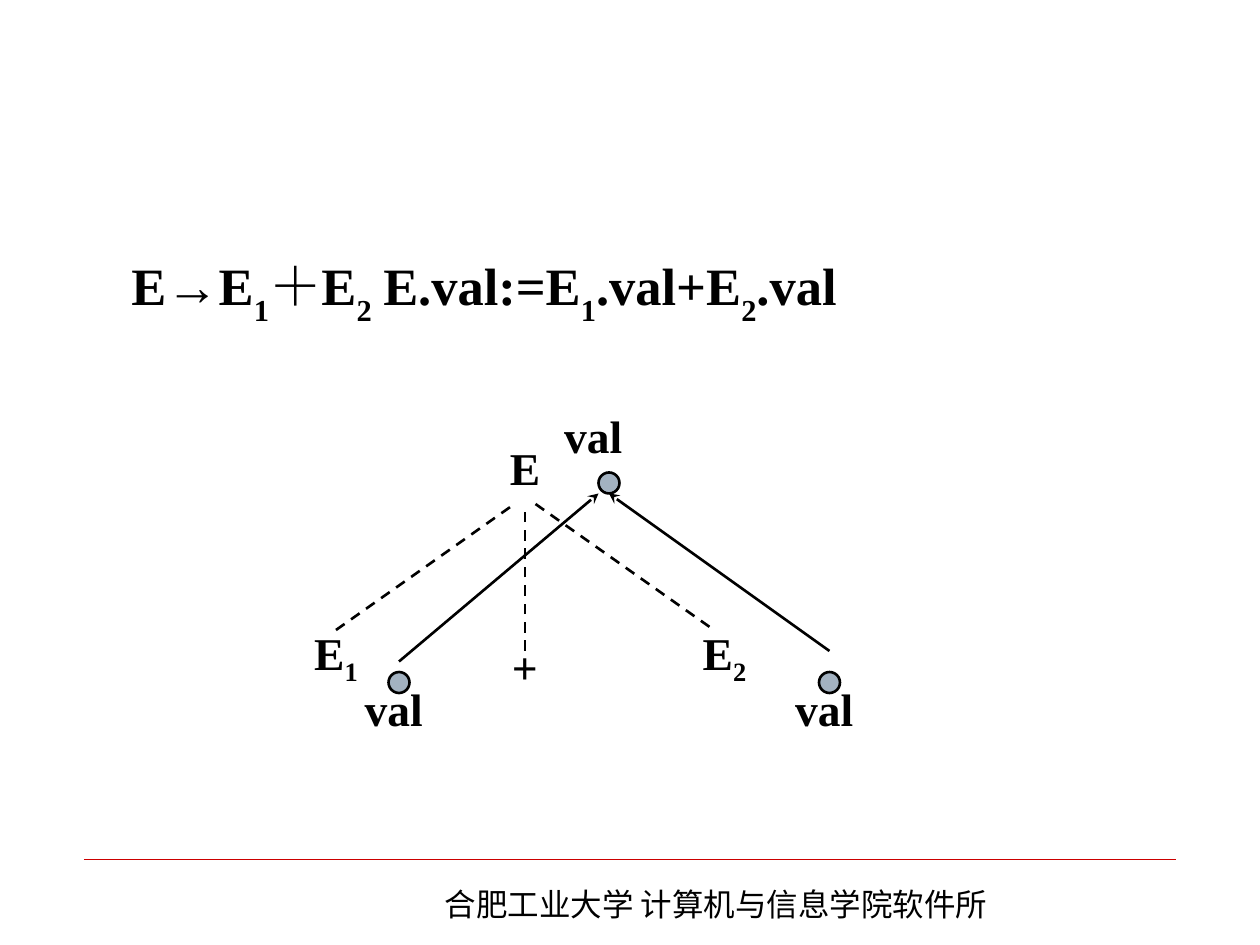
"""Draw the val attribute flow for the rule E→E₁＋E₂."""
from dataclasses import dataclass

from lxml import etree
from pptx import Presentation
from pptx.dml.color import RGBColor
from pptx.enum import dml, shapes, text
from pptx.oxml import ns
from pptx.util import Pt

SERIF, SANS = "Times New Roman", "Noto Sans CJK SC"
BLACK, WHITE, RED, STEEL = "000000", "FFFFFF", "CC0000", "A3B2C1"
Run = tuple[str, int]


@dataclass
class Label:
    left: float
    top: float
    width: float
    runs: list[Run]


@dataclass
class Edge:
    start: tuple[float, float]
    end: tuple[float, float]
    color: str = BLACK
    width: float = 1.5
    dashed: bool = False
    arrow: bool = False


RULE = [("E→E", 0), ("1", -30), ("＋E", 0), ("2", -30), ("\tE.val:=E", 0),
        ("1", -30), (".val+E", 0), ("2", -30), (".val", 0)]
LABELS = [
    Label(102, 354, 180, [("E", 0), ("1", -25)]),
    Label(264, 360, 72, [("+", 0)]),
    Label(324, 354, 180, [("E", 0), ("2", -25)]),
    Label(228, 246, 144, [("E", 0)]),
    Label(312, 228, 54, [("val", 0)]),
    Label(198, 384, 54, [("val", 0)]),
    Label(444, 384, 54, [("val", 0)]),
]
EDGES = [
    Edge((48, 491), (672, 491), RED, 0.25),
    Edge((192, 360), (294, 288), dashed=True),
    Edge((300, 372), (300, 288), dashed=True),
    Edge((306, 288), (408, 360), dashed=True),
    Edge((228, 378), (342, 282), arrow=True),
    Edge((474, 372), (348, 282), arrow=True),
]
DOTS = [(222, 384), (468, 384), (342, 270)]


def paint(form, color: str) -> None:
    """Give a fill or line format one solid colour."""
    form.solid()
    form.fore_color.rgb = RGBColor.from_string(color)


def add(parent, tag: str, **attrs: str):
    """Append a DrawingML child element."""
    return etree.SubElement(parent, ns.qn(tag), attrs)


def write(para, runs: list[Run], size: float, font: str = SERIF, bold: bool = True) -> None:
    """Add runs with their baseline shifts in percent."""
    for words, shift in runs:
        run = para.add_run()
        run.text = words
        run.font.size, run.font.bold, run.font.name = Pt(size), bold, font
        paint(run.font.fill, BLACK)
        props = run.font._element
        add(props, "a:ea", typeface=font)
        if shift:
            props.set("baseline", str(shift * 1000))


def draw_rule(body) -> None:
    """Fill the body placeholder with the rule and its action."""
    body.left, body.top, body.width, body.height = Pt(60), Pt(144), Pt(630), Pt(42)
    paint(body.fill, WHITE)
    frame = body.text_frame
    frame.auto_size = text.MSO_AUTO_SIZE.NONE
    frame.vertical_anchor = text.MSO_ANCHOR.TOP
    frame.margin_left = Pt(15)
    para = frame.paragraphs[0]
    props = para._p.get_or_add_pPr()
    props.set("marL", "0")
    props.set("indent", "0")
    add(props, "a:buNone")
    add(add(props, "a:tabLst"), "a:tab", pos=str(Pt(245)), algn="l")
    para.alignment, para.line_spacing, para.space_before = text.PP_ALIGN.LEFT, 0.8, Pt(0)
    write(para, RULE, 30)


def draw_label(slide, label: Label) -> None:
    """Draw a centred tree label."""
    box = slide.shapes.add_textbox(Pt(label.left), Pt(label.top), Pt(label.width), Pt(42))
    frame = box.text_frame
    frame.word_wrap = False
    frame.vertical_anchor = text.MSO_ANCHOR.MIDDLE
    para = frame.paragraphs[0]
    para.alignment = text.PP_ALIGN.CENTER
    write(para, label.runs, 26)


def draw_edge(slide, edge: Edge) -> None:
    """Draw a plain, dashed or arrowed line."""
    ends = [Pt(v) for v in edge.start + edge.end]
    wire = slide.shapes.add_connector(shapes.MSO_CONNECTOR.STRAIGHT, *ends)
    line = wire.line
    paint(line.fill, edge.color)
    line.width = Pt(edge.width)
    if edge.dashed:
        line.dash_style = dml.MSO_LINE.DASH
    if edge.arrow:
        add(line._get_or_add_ln(), "a:tailEnd", type="stealth")
    add(wire._element.spPr, "a:effectLst")


def draw_dot(slide, left: float, top: float) -> None:
    """Draw an attribute node."""
    dot = slide.shapes.add_shape(shapes.MSO_SHAPE.OVAL, Pt(left), Pt(top), Pt(12), Pt(12))
    dot.shadow.inherit = False
    paint(dot.fill, STEEL)
    paint(dot.line.fill, BLACK)
    dot.line.width = Pt(1.5)


def draw_foot(slide) -> None:
    """Write the institute name below the rule line."""
    box = slide.shapes.add_textbox(Pt(247), Pt(502), Pt(374), Pt(29))
    box.text_frame.word_wrap = True
    write(box.text_frame.paragraphs[0], [("合肥工业大学 计算机与信息学院软件所", 0)], 18, SANS, False)


def main() -> None:
    """Build and save the slide."""
    deck = Presentation()
    deck.slide_width, deck.slide_height = Pt(720), Pt(540)
    slide = deck.slides.add_slide(deck.slide_layouts[1])
    title = slide.shapes.title._element
    title.getparent().remove(title)
    draw_rule(slide.placeholders[1])
    draw_foot(slide)
    for label in LABELS:
        draw_label(slide, label)
    for edge in EDGES:
        draw_edge(slide, edge)
    for left, top in DOTS:
        draw_dot(slide, left, top)
    deck.save("out.pptx")


if __name__ == "__main__":
    main()
